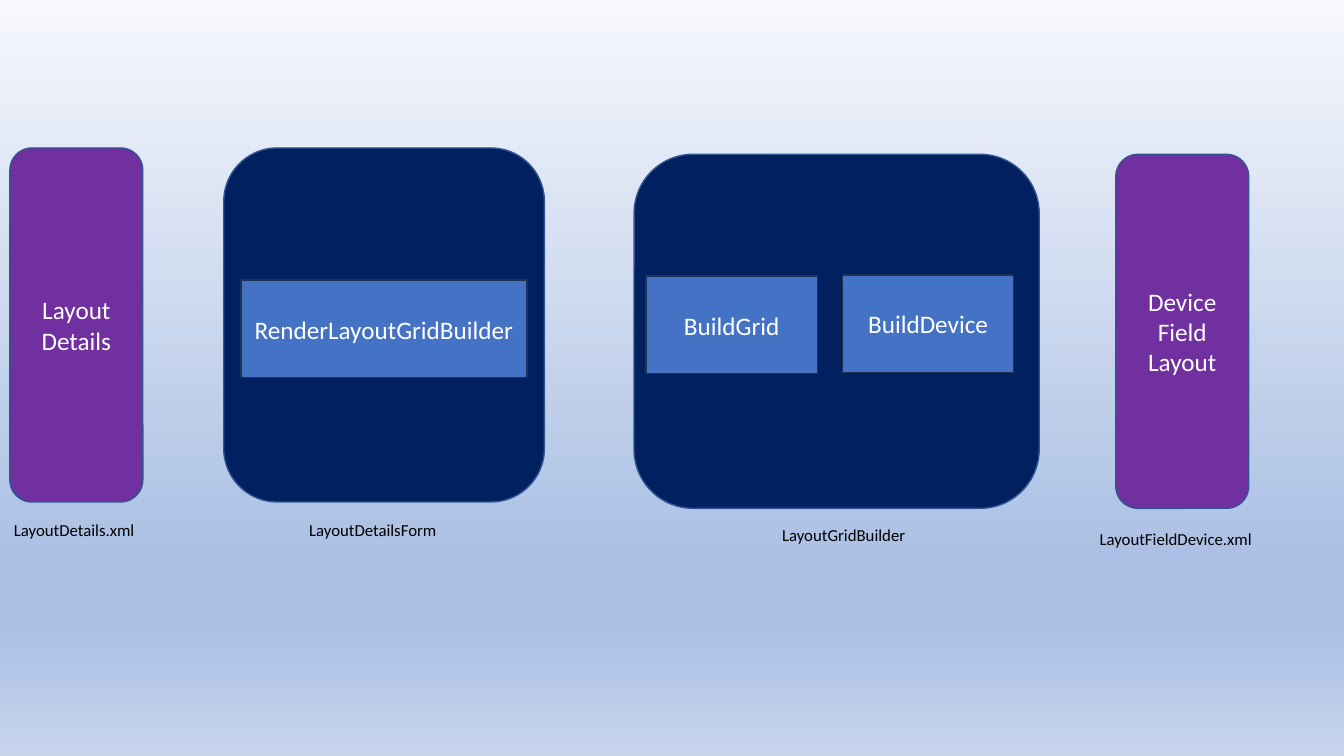
from lxml.etree import SubElement
from pptx import Presentation
from pptx.dml.color import RGBColor
from pptx.enum.shapes import MSO_SHAPE
from pptx.enum.text import MSO_ANCHOR, PP_ALIGN
from pptx.oxml.ns import qn
from pptx.util import Cm, Pt

PURPLE = RGBColor(0x70, 0x30, 0xA0)
NAVY = RGBColor(0x00, 0x20, 0x60)
BLUE = RGBColor(0x44, 0x72, 0xC4)
PANEL_LINE = RGBColor(0x32, 0x54, 0x91)
STEP_LINE = RGBColor(0x1E, 0x32, 0x56)
WHITE = RGBColor(0xFF, 0xFF, 0xFF)
BLACK = RGBColor(0x00, 0x00, 0x00)
PALE = RGBColor(0xF6, 0xF8, 0xFC)
MID = RGBColor(0xAB, 0xC0, 0xE4)
LIGHT = RGBColor(0xC7, 0xD5, 0xED)

FONT = "Calibri"
PANEL_H, STEP_H, CAPTION_H = 8.92, 2.46, 0.76
BACKGROUND = [(0, PALE), (74, MID), (83, MID), (100, LIGHT)]  # percent, colour

# text, left, top, width in cm, fill
PANELS = [
    ("Layout Details", 0.25, 3.73, 3.35, PURPLE),
    ("", 5.64, 3.73, 8.08, NAVY),
    ("", 15.98, 3.89, 10.21, NAVY),
    ("Device\nField Layout", 28.12, 3.89, 3.35, PURPLE),
]
# text, left, top, width in cm
STEPS = [
    ("RenderLayoutGridBuilder", 6.07, 7.06, 7.21),
    ("BuildGrid", 16.28, 6.96, 4.32),
    ("BuildDevice", 21.23, 6.93, 4.32),
]
CAPTIONS = [
    ("LayoutDetails.xml", 0.1, 12.98, 3.61),
    ("LayoutDetailsForm", 7.54, 12.98, 4.57),
    ("LayoutGridBuilder", 19.46, 13.11, 4.57),
    ("LayoutFieldDevice.xml", 27.46, 13.21, 4.57),
]


def set_background(s, stops):
    """Fill the slide from top to bottom with the gradient stops."""
    fill = s.background.fill
    fill.gradient()
    fill.gradient_angle = 270
    gs_list = s._element.find(".//" + qn("a:gsLst"))
    for gs in list(gs_list):
        gs_list.remove(gs)
    for percent, color in stops:
        gs = SubElement(gs_list, qn("a:gs"), pos=str(percent * 1000))
        SubElement(gs, qn("a:srgbClr"), val=str(color))


def write(tf, text, size, color, align):
    """Write the text, one paragraph a line, in one style."""
    tf.word_wrap = True
    tf.text = text
    for p in tf.paragraphs:
        p.alignment = align
        p.font.name = FONT
        p.font.size = Pt(size)
        p.font.color.rgb = color


def add_box(s, kind, text, left, top, width, height, fill, line):
    """Add a filled, outlined shape with centred white text."""
    sp = s.shapes.add_shape(kind, Cm(left), Cm(top), Cm(width), Cm(height))
    sp.shadow.inherit = False
    sp.fill.solid()
    sp.fill.fore_color.rgb = fill
    sp.line.color.rgb = line
    sp.line.width = Pt(1)
    sp.text_frame.vertical_anchor = MSO_ANCHOR.MIDDLE
    if text:
        write(sp.text_frame, text, 18, WHITE, PP_ALIGN.CENTER)


prs = Presentation()
prs.slide_width, prs.slide_height = Cm(33.87), Cm(19.05)
s = prs.slides.add_slide(prs.slide_layouts[6])
set_background(s, BACKGROUND)

for text, left, top, width, fill in PANELS:
    add_box(s, MSO_SHAPE.ROUNDED_RECTANGLE, text, left, top, width, PANEL_H,
            fill, PANEL_LINE)
for text, left, top, width in STEPS:
    add_box(s, MSO_SHAPE.RECTANGLE, text, left, top, width, STEP_H,
            BLUE, STEP_LINE)
for text, left, top, width in CAPTIONS:
    tb = s.shapes.add_textbox(Cm(left), Cm(top), Cm(width), Cm(CAPTION_H))
    write(tb.text_frame, text, 12, BLACK, PP_ALIGN.LEFT)

prs.save("out.pptx")
